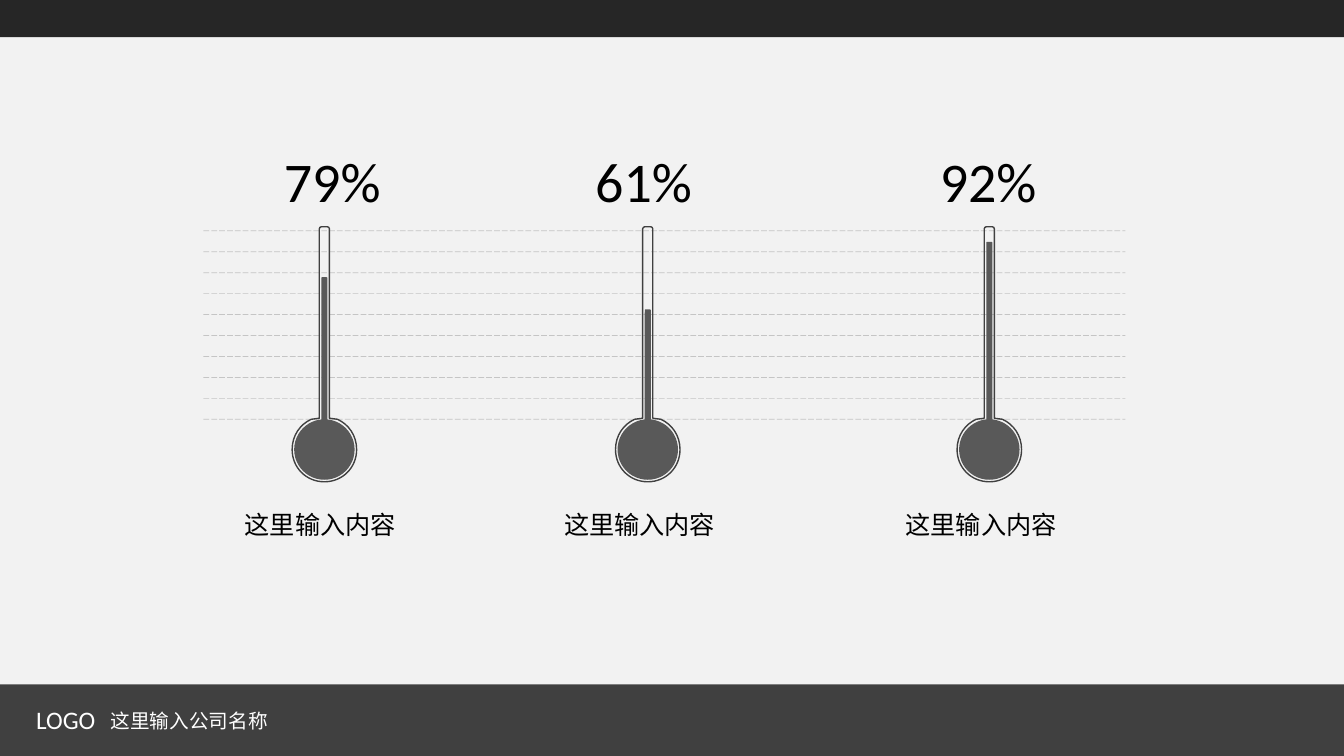
from lxml.etree import SubElement
from pptx import Presentation
from pptx.dml.color import RGBColor
from pptx.enum.dml import MSO_LINE
from pptx.enum.shapes import MSO_CONNECTOR, MSO_SHAPE
from pptx.enum.text import MSO_AUTO_SIZE
from pptx.oxml.ns import qn
from pptx.util import Inches, Pt

# Content: value, caption, tube centre, mercury top, value left, caption left
THERMOMETERS = [
    ("79%", "这里输入内容", 3.22, 2.75, 2.72, 2.33),
    ("61%", "这里输入内容", 6.43, 3.07, 5.81, 5.5),
    ("92%", "这里输入内容", 9.82, 2.4, 9.23, 8.89),
]
FOOTER = [
    ("LOGO", (0.26, 6.94, 0.79, 0.4), 18, "Calibri"),
    ("这里输入公司名称", (1, 6.98, 1.82, 0.34), 14, "Noto Sans CJK SC"),
]

# Right half of the glass, from the tube top to the bulb bottom:
# offset from the centre and height; L is a line, C a curve of three points
GLASS_HALF = [
    (0.03, 2.25), (0.04, 2.25), (0.05, 2.26), (0.05, 2.27), (0.05, 4.15),
    (0.13, 4.16), (0.24, 4.21), (0.32, 4.32), (0.32, 4.46),
    (0.32, 4.64), (0.18, 4.78), (0, 4.78),
]
HALF_SEGMENTS = "CLLCC"

# Colours
PAPER = RGBColor(0xF2, 0xF2, 0xF2)
HEADER_BAR = RGBColor(0x26, 0x26, 0x26)
DARK = RGBColor(0x40, 0x40, 0x40)
MERCURY = RGBColor(0x59, 0x59, 0x59)
RULE = RGBColor(0xBF, 0xBF, 0xBF)
BLACK = RGBColor(0, 0, 0)
WHITE = RGBColor(255, 255, 255)

# Measures in inches
WIDTH, HEIGHT = 13.34, 7.5
SCALE_LEFT, SCALE_RIGHT, SCALE_TOP, SCALE_BOTTOM = 2.02, 11.17, 2.29, 4.16
SCALE_LINES = 10
BULB_Y, BALL_RADIUS = 4.46, 0.3
MERCURY_WIDTH, MERCURY_BOTTOM = 0.06, 4.3

deck = Presentation()
deck.slide_width, deck.slide_height = Inches(WIDTH), Inches(HEIGHT)
page = deck.slides.add_slide(deck.slide_layouts[6])
page.background.fill.solid()
page.background.fill.fore_color.rgb = PAPER


def add_text(text, area, *, size, font, color=BLACK):
    box = page.shapes.add_textbox(*map(Inches, area))
    box.text_frame.word_wrap = False
    box.text_frame.auto_size = MSO_AUTO_SIZE.SHAPE_TO_FIT_TEXT
    span = box.text_frame.paragraphs[0].add_run()
    span.text = text
    span.font.size = Pt(size)
    span.font.color.rgb = color
    span.font.name = font
    SubElement(span.font._element, qn("a:ea")).set("typeface", font)


def add_filled(kind, area, color):
    shape = page.shapes.add_shape(kind, *map(Inches, area))
    shape.shadow.inherit = False
    shape.fill.solid()
    shape.fill.fore_color.rgb = color
    shape.line.fill.background()
    return shape


def add_scale_line(y):
    rule = page.shapes.add_connector(
        MSO_CONNECTOR.STRAIGHT, *map(Inches, (SCALE_LEFT, y, SCALE_RIGHT, y)))
    rule.line.color.rgb = RULE
    rule.line.width = Pt(0.5)
    rule.line.dash_style = MSO_LINE.LONG_DASH
    color = rule.line._ln.find(".//" + qn("a:srgbClr"))
    SubElement(color, qn("a:alpha")).set("val", "88000")
    SubElement(rule._element.spPr, qn("a:effectLst"))


def add_glass(x):
    mirrored = [(-dx, y) for dx, y in reversed(GLASS_HALF[:-1])]
    points = [(Inches(x + dx), Inches(y)) for dx, y in GLASS_HALF + mirrored]
    builder = page.shapes.build_freeform(*points[0])
    builder.add_line_segments(points[1:], close=True)
    glass = builder.convert_to_shape()
    # Turn each run of three points of a curve into one Bezier segment
    lines = iter(list(glass._element.iter(qn("a:lnTo"))))
    for segment in HALF_SEGMENTS + HALF_SEGMENTS[::-1]:
        first = next(lines)
        if segment == "C":
            first.tag = qn("a:cubicBezTo")
            for line in (next(lines), next(lines)):
                first.append(line[0])
                line.getparent().remove(line)
    glass.shadow.inherit = False
    glass.fill.background()
    glass.line.color.rgb = DARK
    glass.line.width = Pt(1)


# Header and footer bars
add_filled(MSO_SHAPE.RECTANGLE, (0, 6.79, WIDTH, HEIGHT - 6.79), DARK)
add_filled(MSO_SHAPE.RECTANGLE, (0, 0, WIDTH, 0.37), HEADER_BAR)
for text, area, size, font in FOOTER:
    add_text(text, area, size=size, font=font, color=WHITE)

# Scale behind the thermometers
for i in range(SCALE_LINES):
    add_scale_line(SCALE_TOP + i * (SCALE_BOTTOM - SCALE_TOP) / (SCALE_LINES - 1))

# Thermometers with value above and caption below
for value, caption, x, top, value_left, caption_left in THERMOMETERS:
    add_glass(x)
    add_filled(MSO_SHAPE.OVAL, (x - BALL_RADIUS, BULB_Y - BALL_RADIUS,
                                2 * BALL_RADIUS, 2 * BALL_RADIUS), MERCURY)
    column = add_filled(MSO_SHAPE.ROUNDED_RECTANGLE, (
        x - MERCURY_WIDTH / 2, top, MERCURY_WIDTH, MERCURY_BOTTOM - top), MERCURY)
    column.adjustments[0] = 0.15
    add_text(value, (value_left, 1.4, 1.23, 0.77), size=40, font="Calibri")
    add_text(caption, (caption_left, 5, 1.81, 0.4), size=18, font="Noto Sans CJK SC")

deck.save("out.pptx")
